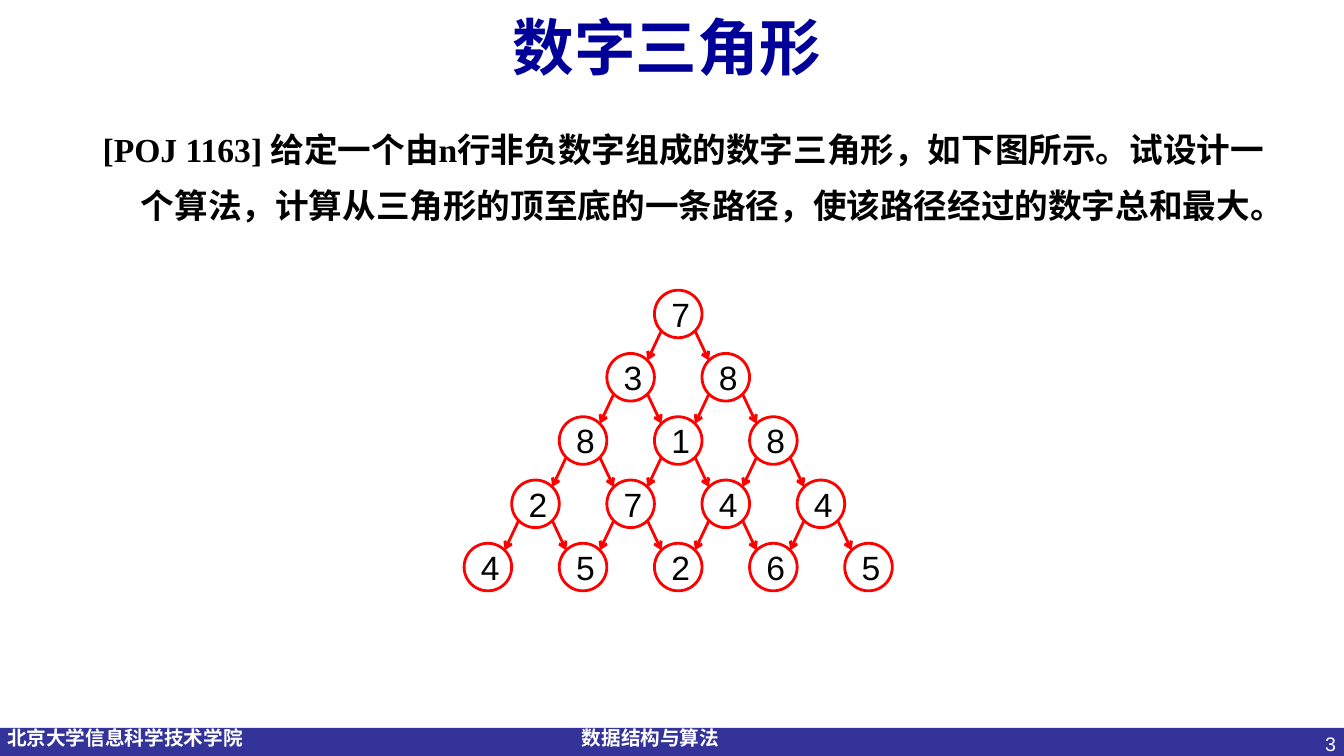
from math import sqrt

from lxml.etree import SubElement
from pptx import Presentation
from pptx.dml.color import RGBColor
from pptx.enum.shapes import MSO_CONNECTOR, MSO_SHAPE
from pptx.enum.text import MSO_ANCHOR, PP_ALIGN
from pptx.oxml.ns import qn
from pptx.util import Inches, Pt

TRIANGLE = [[7], [3, 8], [8, 1, 8], [2, 7, 4, 4], [4, 5, 2, 6, 5]]
CJK_FONT = "Noto Sans CJK SC"


def color(hex_string):
    return RGBColor.from_string(hex_string)


class SlideBuilder:
    """Places elements by percentages of the slide's width and height."""

    navy, bar_blue, red, black, white = "000099", "333399", "FF0000", "000000", "FFFFFF"
    line_width = Pt(2)
    apex = (50.46, 41.53)
    column, row = 3.54, 8.37

    def __init__(self, presentation):
        self.width = presentation.slide_width
        self.height = presentation.slide_height
        self.slide = presentation.slides.add_slide(presentation.slide_layouts[6])

    def x(self, percent):
        return round(self.width * percent / 100)

    def y(self, percent):
        return round(self.height * percent / 100)

    def box(self, left, top, width, height):
        return self.x(left), self.y(top), self.x(width), self.y(height)

    def add_text_run(self, paragraph, text, size, font, hex_string, bold=False):
        run = paragraph.add_run()
        run.text = text
        run.font.size = Pt(size)
        run.font.bold = bold
        run.font.name = font
        run.font.color.rgb = color(hex_string)
        SubElement(run.font._element, qn("a:ea")).set("typeface", CJK_FONT)

    def text(self, area, text, size, font, hex_string, bold=False,
             align=PP_ALIGN.LEFT, anchor=MSO_ANCHOR.TOP, wrap=True,
             insets=(0.1, 0.05, 0.1, 0.05)):
        frame = self.slide.shapes.add_textbox(*self.box(*area)).text_frame
        frame.word_wrap = wrap
        frame.vertical_anchor = anchor
        (frame.margin_left, frame.margin_top,
         frame.margin_right, frame.margin_bottom) = map(Inches, insets)
        paragraph = frame.paragraphs[0]
        paragraph.alignment = align
        self.add_text_run(paragraph, text, size, font, hex_string, bold)
        return paragraph

    def hanging_text(self, area, text, indent, line_height):
        paragraph = self.text(area, text, 24, "Times New Roman", self.black, bold=True)
        paragraph.line_spacing = Pt(line_height)
        properties = paragraph._p.get_or_add_pPr()
        properties.set("marL", str(Inches(indent)))
        properties.set("indent", str(-Inches(indent)))

    def bar(self, area):
        shape = self.slide.shapes.add_shape(MSO_SHAPE.RECTANGLE, *self.box(*area))
        shape.shadow.inherit = False
        shape.fill.solid()
        shape.fill.fore_color.rgb = color(self.bar_blue)
        shape.line.fill.background()

    def footer_label(self, left, width, text):
        self.text((left, 95.73, width, 4.53), text, 14, "Arial", self.white,
                  bold=True, wrap=False, insets=(0, 0.02, 0.1, 0.05))

    def node_center(self, level, position):
        """Each level starts half a node spacing further left."""
        return (self.x(self.apex[0] + (2 * position - level) * self.column),
                self.y(self.apex[1] + level * self.row))

    def node(self, level, position, number):
        center_x, center_y = self.node_center(level, position)
        diameter = self.x(self.column)
        shape = self.slide.shapes.add_shape(
            MSO_SHAPE.OVAL, center_x - diameter // 2, center_y - diameter // 2,
            diameter, diameter)
        shape.shadow.inherit = False
        shape.fill.background()
        shape.line.color.rgb = color(self.red)
        shape.line.width = self.line_width
        shape.text_frame.vertical_anchor = MSO_ANCHOR.MIDDLE
        paragraph = shape.text_frame.paragraphs[0]
        paragraph.alignment = PP_ALIGN.CENTER
        self.add_text_run(paragraph, str(number), 24, "Arial", self.black)

    def arrow(self, level, position, side):
        """Joins a node to its left (side 0) or right (side 1) child."""
        start_x, start_y = self.node_center(level, position)
        end_x, end_y = self.node_center(level + 1, position + side)
        reach = round(self.x(self.column) / 2 / sqrt(2))
        shift = reach if side else -reach
        connector = self.slide.shapes.add_connector(
            MSO_CONNECTOR.STRAIGHT, start_x + shift, start_y + reach,
            end_x - shift, end_y - reach)
        connector.line.color.rgb = color(self.red)
        connector.line.width = self.line_width
        SubElement(connector.line._get_or_add_ln(), qn("a:tailEnd")).set("type", "arrow")
        SubElement(connector._element.spPr, qn("a:effectLst"))

    def number_triangle(self, levels):
        for level, numbers in enumerate(levels):
            for position, number in enumerate(numbers):
                self.node(level, position, number)
        for level, numbers in enumerate(levels[:-1]):
            for position in range(len(numbers)):
                for side in (0, 1):
                    self.arrow(level, position, side)


def main():
    presentation = Presentation()
    presentation.slide_width = Inches(13.33)
    presentation.slide_height = Inches(7.5)
    builder = SlideBuilder(presentation)

    builder.bar((0, 96.27, 100, 3.73))
    builder.footer_label(0.53, 18.45, "北京大学信息科学技术学院")
    builder.footer_label(43.29, 11.1, "数据结构与算法")
    builder.text((76.82, 96.13, 23.33, 6.93), "3", 14, "Arial", builder.white,
                 align=PP_ALIGN.RIGHT)
    builder.text((0, 0, 100, 12.13), "数字三角形", 44, CJK_FONT, builder.navy,
                 bold=True, align=PP_ALIGN.CENTER, anchor=MSO_ANCHOR.MIDDLE,
                 insets=(0.2, 0.05, 0.3, 0.05))
    builder.hanging_text(
        (6.9, 14.27, 87.92, 14),
        "[POJ 1163] 给定一个由n行非负数字组成的数字三角形，如下图所示。"
        "试设计一个算法，计算从三角形的顶至底的一条路径，使该路径经过的数字总和最大。",
        indent=0.38, line_height=40.3)
    builder.number_triangle(TRIANGLE)

    presentation.save("out.pptx")


if __name__ == "__main__":
    main()
